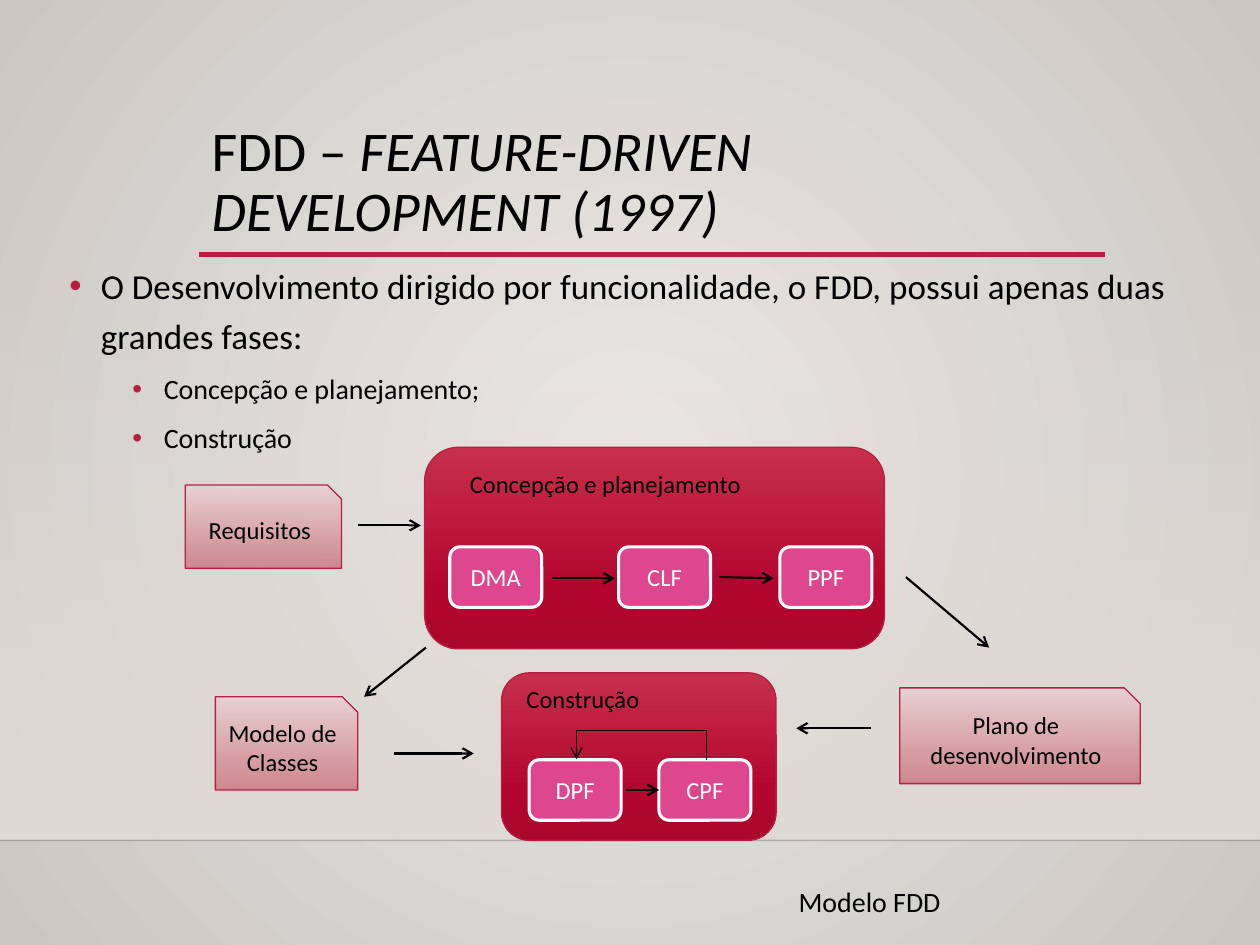
from lxml import etree
from pptx import Presentation
from pptx.dml.color import RGBColor
from pptx.enum.shapes import MSO_CONNECTOR, MSO_SHAPE
from pptx.enum.text import MSO_ANCHOR, MSO_AUTO_SIZE, PP_ALIGN
from pptx.oxml.ns import qn
from pptx.util import Inches, Pt

RECT, ROUND, SNIP = (MSO_SHAPE.RECTANGLE, MSO_SHAPE.ROUNDED_RECTANGLE,
                     MSO_SHAPE.SNIP_1_RECTANGLE)
LINE, ELBOW = MSO_CONNECTOR.STRAIGHT, MSO_CONNECTOR.ELBOW
LEFT, MID = PP_ALIGN.LEFT, PP_ALIGN.CENTER
TOP, CENTRE = MSO_ANCHOR.TOP, MSO_ANCHOR.MIDDLE

BLACK, WHITE, RED, PINK = "000000", "FFFFFF", "B71E42", "DE478E"
# Gradient stops: position, colour, opacity (percent)
PAGE = [(0, "ECEAE7", 100), (100, "CAC7C1", 100)]
FLOOR = [(0, "DFDBD5", 0), (100, "DFDBD5", 100)]
PANEL = [(0, "C7304C", 100), (69, "B3062F", 100), (100, "AA062C", 100)]
NOTE = [(0, "EAD1D3", 100), (100, "CD828A", 92)]


def color(code):
    return RGBColor.from_string(code)


def sub(node, tag, **attrs):
    return etree.SubElement(node, qn(tag), attrs)


def shade(fill, stops, radial=False):
    """Give a fill a gradient, downward or from the centre outward."""
    fill.background()
    root = fill._xPr
    old = root.find(qn("a:noFill"))
    grad = sub(root, "a:gradFill", rotWithShape="1")
    items = sub(grad, "a:gsLst")
    for pos, code, alpha in stops:
        stop = sub(items, "a:gs", pos=str(pos * 1000))
        tint = sub(stop, "a:srgbClr", val=code)
        if alpha < 100:
            sub(tint, "a:alpha", val=str(alpha * 1000))
    if radial:
        ring = sub(grad, "a:path", path="circle")
        sub(ring, "a:fillToRect", l="50000", t="50000", r="50000", b="50000")
    else:
        sub(grad, "a:lin", ang="5400000", scaled="0")
    root.replace(old, grad)


def write(para, text, size=14, ink=BLACK, italic=False, align=LEFT):
    run = para.add_run()
    run.text = text
    run.font.name = "Calibri"
    run.font.size = Pt(size)
    run.font.italic = italic
    run.font.color.rgb = color(ink)
    para.alignment = align


class Deck:
    def __init__(self):
        self.prs = Presentation()
        self.prs.slide_width, self.prs.slide_height = Inches(10), Inches(7.5)
        self.slide = self.prs.slides.add_slide(self.prs.slide_layouts[1])
        self.shapes = self.slide.shapes
        shade(self.slide.background.fill, PAGE, radial=True)

    def holder(self, index, box, anchor):
        """Place a template placeholder in front of the backdrop."""
        item = self.slide.placeholders[index]
        item.left, item.top, item.width, item.height = map(Inches, box)
        self.shapes._spTree.append(item._element)
        frame = item.text_frame
        frame.auto_size = MSO_AUTO_SIZE.NONE
        frame.vertical_anchor = anchor
        return frame

    def title(self, box, parts):
        para = self.holder(0, box, CENTRE).paragraphs[0]
        para.line_spacing = 0.9
        for text, italic in parts:
            write(para, text, size=32, italic=italic)

    def bullets(self, box, rows):
        frame = self.holder(1, box, TOP)
        for i, (level, text) in enumerate(rows):
            para = frame.add_paragraph() if i else frame.paragraphs[0]
            para.level = level
            para.line_spacing = 1.2
            para.space_before = Pt(5 if level else 10)
            para.space_after = Pt(0)
            write(para, text, size=16 if level else 20)
            props = para._p.get_or_add_pPr()
            props.set("marL", str(Inches(0.25 + 0.5 * level)))
            props.set("indent", str(Inches(-0.25)))
            sub(sub(props, "a:buClr"), "a:srgbClr", val=RED)
            sub(props, "a:buFont", typeface="Arial")
            sub(props, "a:buChar", char="•")

    def block(self, kind, box, fill, edge=None, width=0.75, text="", ink=BLACK):
        item = self.shapes.add_shape(kind, *map(Inches, box))
        item.shadow.inherit = False
        if isinstance(fill, str):
            item.fill.solid()
            item.fill.fore_color.rgb = color(fill)
        else:
            shade(item.fill, fill)
        if edge:
            item.line.color.rgb = color(edge)
            item.line.width = Pt(width)
        else:
            item.line.fill.background()
        if text:
            item.text_frame.vertical_anchor = CENTRE
            write(item.text_frame.paragraphs[0], text, ink=ink, align=MID)
        return item

    def label(self, box, text, size=14):
        frame = self.shapes.add_textbox(*map(Inches, box)).text_frame
        frame.word_wrap = True
        write(frame.paragraphs[0], text, size=size)

    def line(self, ends, ink=BLACK, width=1.25, head=True, alpha=100, kind=LINE):
        item = self.shapes.add_connector(kind, *map(Inches, ends))
        item.line.color.rgb = color(ink)
        item.line.width = Pt(width)
        stroke = item.line._get_or_add_ln()
        if alpha < 100:
            sub(stroke.find(".//" + qn("a:srgbClr")), "a:alpha",
                val=str(alpha * 1000))
        if head:
            sub(stroke, "a:tailEnd", type="arrow")
        sub(item._element.spPr, "a:effectLst")
        return item

    def loop(self, x1, x2, y, rise):
        """Arrow that climbs from x1, runs left and drops onto x2."""
        mid, half, thin = (x1 + x2) / 2, (x1 - x2) / 2, 0.01
        item = self.line((mid, y + half, mid + thin, y - half),
                         width=0.75, kind=ELBOW)
        props = item._element.spPr
        props.find(qn("a:xfrm")).set("rot", "16200000")
        guides = props.find(qn("a:prstGeom")).get_or_add_avLst()
        sub(guides, "a:gd", name="adj1", fmla=f"val {round(rise / thin * 100000)}")


def main():
    deck = Deck()

    # Backdrop
    deck.block(RECT, (0, 2.2, 10, 4.46), FLOOR)
    deck.line((0, 6.67, 10, 6.67), ink="000001", width=1, head=False, alpha=20)
    deck.line((1.58, 2.02, 8.77, 2.02), ink=RED, width=2.5, head=False)

    # Title and list
    deck.title((1.58, 0.88, 7.19, 1.15),
               [("FDD – ", False), ("FEATURE-DRIVEN DEVELOPMENT (1997)", True)])
    deck.bullets((0.45, 1.98, 9.09, 4.37), [
        (0, "O Desenvolvimento dirigido por funcionalidade, o FDD, "
            "possui apenas duas grandes fases:"),
        (1, "Concepção e planejamento;"),
        (1, "Construção")])

    # Phase panels
    for box in ((3.37, 3.55, 3.65, 1.6), (3.98, 5.34, 2.18, 1.33)):
        deck.block(ROUND, box, PANEL, RED)
    deck.label((3.63, 3.67, 3.01, 0.34), "Concepção e planejamento")
    deck.label((4.08, 5.38, 1.62, 0.34), "Construção")

    # Inputs and outputs
    for text, box in (("Requisitos", (1.47, 3.85, 1.24, 0.66)),
                      ("Modelo de Classes", (1.71, 5.53, 1.13, 0.74)),
                      ("Plano de desenvolvimento", (7.14, 5.46, 1.91, 0.76))):
        deck.block(SNIP, box, NOTE, RED, text=text)

    # Steps within the phases
    steps = {}
    for text, x, y in (("DMA", 3.57, 4.34), ("CLF", 4.91, 4.34),
                       ("PPF", 6.19, 4.34), ("DPF", 4.2, 6.03),
                       ("CPF", 5.23, 6.03)):
        steps[text] = deck.block(ROUND, (x, y, 0.73, 0.48), PINK, WHITE, 1.75,
                                 text, WHITE)

    # Flow arrows
    for ends in ((4.38, 4.59, 4.88, 4.59), (5.71, 4.58, 6.14, 4.59),
                 (3.38, 5.14, 2.89, 5.53), (2.84, 4.17, 3.34, 4.17),
                 (7.19, 4.58, 7.85, 5.14), (6.91, 5.78, 6.32, 5.78),
                 (3.13, 5.98, 3.76, 5.98)):
        deck.line(ends)
    deck.loop(5.6, 4.57, 6.03, 0.24)
    deck.line((4.97, 6.27, 5.23, 6.27)).end_connect(steps["CPF"], 1)

    # Caption
    deck.label((6.24, 6.97, 3.68, 0.37), "Modelo FDD", size=16)

    deck.prs.save("out.pptx")


if __name__ == "__main__":
    main()
